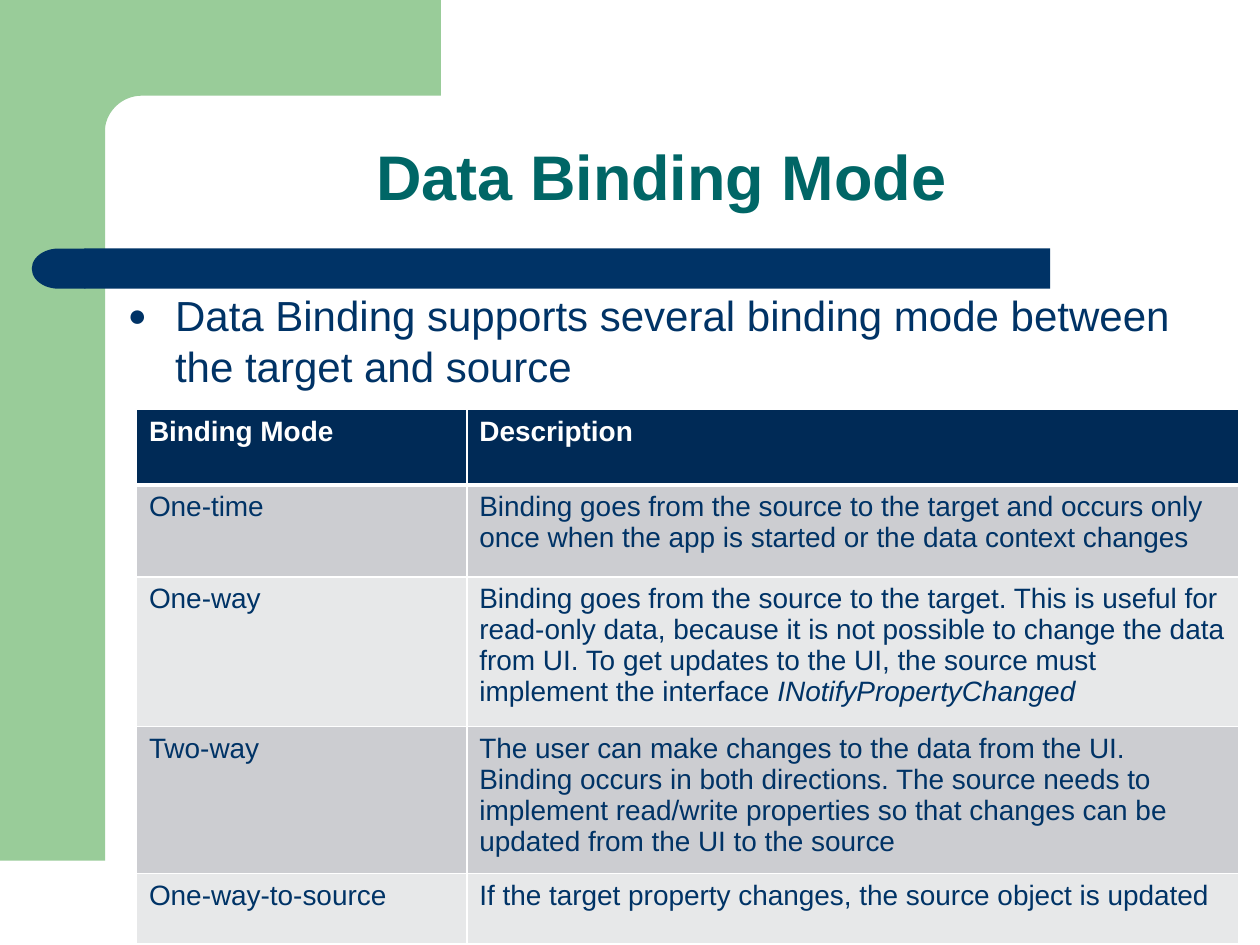
from dataclasses import dataclass
from math import cos, pi, sin

from lxml import etree
from pptx import Presentation
from pptx.dml.color import RGBColor
from pptx.enum.shapes import MSO_SHAPE
from pptx.enum.text import MSO_ANCHOR, PP_ALIGN
from pptx.oxml.ns import qn
from pptx.util import Cm, Pt

RECTANGLE, DELAY = MSO_SHAPE.RECTANGLE, MSO_SHAPE.FLOWCHART_DELAY
BOTTOM, CENTER = MSO_ANCHOR.BOTTOM, PP_ALIGN.CENTER
FONT = "Arial"
COLORS = {
    "sage": "99CC99", "navy": "003366", "teal": "006666", "white": "FFFFFF",
    "header": "002A56", "dark_band": "CCCDD1", "light_band": "E7E8E9",
}
COLUMN_WIDTHS = (6.66, 15.56)


@dataclass(frozen=True)
class Panel:
    preset: int
    left: float
    top: float
    width: float
    height: float
    color: str
    rotation: int = 0


@dataclass(frozen=True)
class BindingMode:
    name: str
    description: str
    height: float
    italic_ending: str = ""


PANELS = (
    Panel(RECTANGLE, 0, 0, 2.12, 17.35, "sage"),
    Panel(RECTANGLE, 1.7, 5.01, 19.47, 0.81, "navy"),
    Panel(DELAY, 0.64, 5.01, 1.08, 0.81, "navy", 180),
)
MODES = (
    BindingMode("Binding Mode", "Description", 1.52),
    BindingMode("One-time", "Binding goes from the source to the target and occurs only once "
                "when the app is started or the data context changes", 1.85),
    BindingMode("One-way", "Binding goes from the source to the target. This is useful for "
                "read-only data, because it is not possible to change the data from UI. "
                "To get updates to the UI, the source must implement the interface ",
                3.02, "INotifyPropertyChanged"),
    BindingMode("Two-way", "The user can make changes to the data from the UI. Binding occurs "
                "in both directions. The source needs to implement read/write properties so "
                "that changes can be updated from the UI to the source", 2.77),
    BindingMode("One-way-to-source",
                "If the target property changes, the source object is updated", 1.42),
)


def rgb(color: str) -> RGBColor:
    return RGBColor.from_string(COLORS[color])


def paint(shape, color: str) -> None:
    shape.shadow.inherit = False
    shape.fill.solid()
    shape.fill.fore_color.rgb = rgb(color)
    shape.line.fill.background()


def draw_panel(slide, panel: Panel) -> None:
    shape = slide.shapes.add_shape(panel.preset, Cm(panel.left), Cm(panel.top),
                                   Cm(panel.width), Cm(panel.height))
    shape.rotation = panel.rotation
    paint(shape, panel.color)


def draw_corner(slide) -> None:
    center_x, center_y, radius, steps = 2.86, 2.68, 0.75, 16
    angles = [pi / 2 * step / steps for step in range(steps + 1)]
    curve = [(Cm(center_x - radius * sin(angle)), Cm(center_y - radius * cos(angle)))
             for angle in angles]
    outline = [(Cm(8.89), Cm(1.93)), *curve, (Cm(2.11), Cm(2.95)), (Cm(1.27), Cm(2.95)),
               (Cm(1.27), 0)]
    builder = slide.shapes.build_freeform(Cm(8.89), 0)
    builder.add_line_segments(outline, close=True)
    paint(builder.convert_to_shape(), "sage")


def style_runs(paragraph, size: int, color: str, bold: bool = False) -> None:
    for run in paragraph.runs:
        run.font.name = FONT
        run.font.size = Pt(size)
        run.font.bold = bold
        run.font.color.rgb = rgb(color)


def add_text(slide, text: str, left: float, top: float, width: float, height: float):
    frame = slide.shapes.add_textbox(Cm(left), Cm(top), Cm(width), Cm(height)).text_frame
    frame.word_wrap = True
    frame.text = text
    return frame


def add_bullet(paragraph) -> None:
    properties = paragraph._p.get_or_add_pPr()
    properties.set("marL", str(Cm(0.95)))
    properties.set("indent", str(Cm(-0.95)))
    bullet_color = etree.SubElement(properties, qn("a:buClr"))
    etree.SubElement(bullet_color, qn("a:srgbClr"), val=COLORS["navy"])
    etree.SubElement(properties, qn("a:buSzPct"), val="75000")
    etree.SubElement(properties, qn("a:buFont"), typeface=FONT)
    etree.SubElement(properties, qn("a:buChar"), char="●")


def set_borders(cell, top: int, bottom: int) -> None:
    properties = cell._tc.get_or_add_tcPr()
    for index, (side, width) in enumerate((("L", 1), ("R", 1), ("T", top), ("B", bottom))):
        line = etree.Element(qn(f"a:ln{side}"), w=str(Pt(width)))
        fill = etree.SubElement(line, qn("a:solidFill"))
        etree.SubElement(fill, qn("a:srgbClr"), val=COLORS["white"])
        properties.insert(index, line)


def add_modes_table(slide) -> None:
    table = slide.shapes.add_table(
        len(MODES), len(COLUMN_WIDTHS), Cm(2.75), Cm(8.26),
        Cm(sum(COLUMN_WIDTHS)), Cm(sum(mode.height for mode in MODES))).table
    for column, width in zip(table.columns, COLUMN_WIDTHS):
        column.width = Cm(width)
    for index, mode in enumerate(MODES):
        table.rows[index].height = Cm(mode.height)
        is_header = index == 0
        band = "header" if is_header else ("light_band", "dark_band")[index % 2]
        for column, text in enumerate((mode.name, mode.description)):
            cell = table.cell(index, column)
            cell.fill.solid()
            cell.fill.fore_color.rgb = rgb(band)
            set_borders(cell, 3 if index == 1 else 1, 3 if is_header else 1)
            paragraph = cell.text_frame.paragraphs[0]
            paragraph.text = text
            if column and mode.italic_ending:
                ending = paragraph.add_run()
                ending.text = mode.italic_ending
                ending.font.italic = True
            style_runs(paragraph, 16, "white" if is_header else "navy", is_header)


def main() -> None:
    """Build the slide on data binding modes."""
    deck = Presentation()
    deck.slide_width, deck.slide_height = Cm(25.4), Cm(19.05)
    slide = deck.slides.add_slide(deck.slide_layouts[6])
    draw_corner(slide)
    for panel in PANELS:
        draw_panel(slide, panel)

    title = add_text(slide, "Data Binding Mode", 2.33, 2.12, 22.01, 2.33)
    title.vertical_anchor = BOTTOM
    heading = title.paragraphs[0]
    heading.alignment = CENTER
    heading.line_spacing = 0.9
    style_runs(heading, 36, "teal", True)

    body = add_text(slide, "Data Binding supports several binding mode between "
                    "the target and source", 2.33, 5.72, 22.86, 2.12)
    add_bullet(body.paragraphs[0])
    style_runs(body.paragraphs[0], 24, "navy")
    add_modes_table(slide)
    deck.save("out.pptx")


if __name__ == "__main__":
    main()
